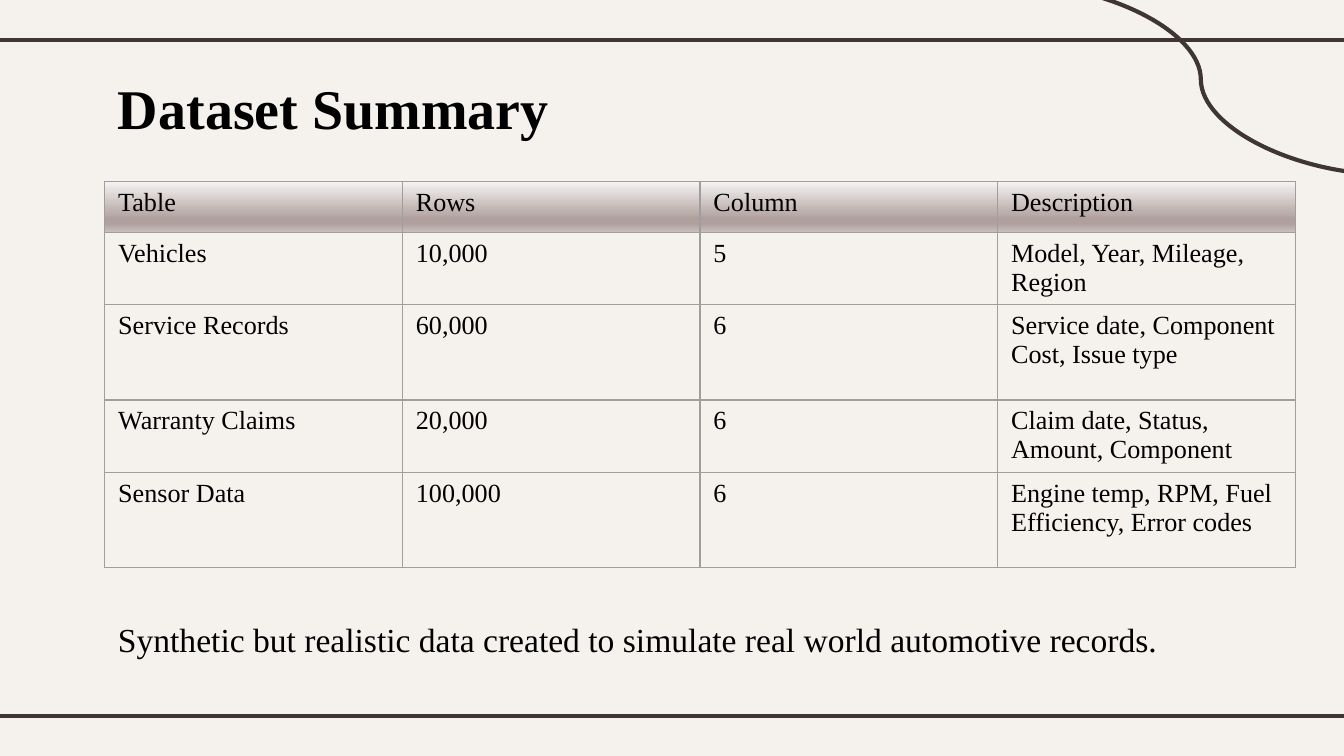
from lxml.etree import SubElement
from pptx import Presentation
from pptx.dml.color import RGBColor
from pptx.enum.shapes import MSO_CONNECTOR as Connector
from pptx.enum.text import MSO_ANCHOR as Anchor, MSO_AUTO_SIZE as AutoSize, PP_ALIGN as Align
from pptx.oxml.ns import qn
from pptx.util import Cm, Pt

BACKGROUND = RGBColor(0xF5, 0xF2, 0xEE)
RULE = RGBColor(0x3F, 0x35, 0x33)
BORDER = RGBColor(0x9E, 0x9E, 0x9E)
TEXT = RGBColor(0x00, 0x00, 0x00)
HEADER_STOPS = [
    (0, RGBColor(0xF6, 0xF4, 0xF4)),
    (74, RGBColor(0xAF, 0xA0, 0x9D)),
    (83, RGBColor(0xAF, 0xA0, 0x9D)),
    (100, RGBColor(0xCA, 0xBF, 0xBD)),
]
FONT = "Times New Roman"

LEFT, CONTENT_WIDTH = Cm(1.98), Cm(22.5)
ROW_HEIGHTS = [0.96, 1.37, 1.8, 1.37, 1.8]
ROWS = [
    ("Table", "Rows", "Column", "Description"),
    ("Vehicles", "10,000", "5", "Model, Year, Mileage, Region"),
    ("Service Records", "60,000", "6", "Service date, Component Cost, Issue type"),
    ("Warranty Claims", "20,000", "6", "Claim date, Status, Amount, Component"),
    ("Sensor Data", "100,000", "6", "Engine temp, RPM, Fuel Efficiency, Error codes"),
]


def write_text(text_frame, text, size, bold=False):
    text_frame.text = text
    paragraph = text_frame.paragraphs[0]
    paragraph.alignment = Align.LEFT
    font = paragraph.runs[0].font
    font.name, font.size, font.bold = FONT, Pt(size), bold
    font.color.rgb = TEXT


def add_rule(slide, kind, start, end):
    """Draw a decorative line between two points given in centimetres."""
    connector = slide.shapes.add_connector(kind, *map(Cm, start + end))
    connector.line.color.rgb = RULE
    connector.line.width = Pt(2.25)
    SubElement(connector._element.spPr, qn("a:effectLst"))


def add_color(parent, color):
    SubElement(parent, qn("a:srgbClr"), val=str(color))


def add_borders(cell):
    properties = cell._tc.get_or_add_tcPr()
    for side in ("lnL", "lnR", "lnT", "lnB"):
        line = SubElement(properties, qn(f"a:{side}"), w=str(Pt(0.75)))
        add_color(SubElement(line, qn("a:solidFill")), BORDER)


def fill_header(cell):
    """Give a header cell its downward gradient with several stops."""
    gradient = SubElement(cell._tc.get_or_add_tcPr(), qn("a:gradFill"))
    stops = SubElement(gradient, qn("a:gsLst"))
    for position, color in HEADER_STOPS:
        add_color(SubElement(stops, qn("a:gs"), pos=str(position * 1000)), color)
    SubElement(gradient, qn("a:lin"), ang="5400000", scaled="0")


def add_title(slide, text):
    title = slide.shapes.title
    title.left, title.top, title.width, title.height = LEFT, Cm(1.14), Cm(15.72), Cm(1.6)
    frame = title.text_frame
    frame.auto_size = AutoSize.NONE
    frame.vertical_anchor = Anchor.TOP
    frame.margin_left = frame.margin_right = frame.margin_top = frame.margin_bottom = Cm(0.25)
    write_text(frame, text, 30, bold=True)


def add_summary_table(slide):
    table = slide.shapes.add_table(
        len(ROWS), len(ROWS[0]), LEFT, Cm(3.43), CONTENT_WIDTH, Cm(sum(ROW_HEIGHTS))
    ).table
    table.first_row = table.horz_banding = False
    for row, height in zip(table.rows, ROW_HEIGHTS):
        row.height = Cm(height)
    for row_index, values in enumerate(ROWS):
        for column_index, value in enumerate(values):
            cell = table.cell(row_index, column_index)
            write_text(cell.text_frame, value, 14)
            add_borders(cell)
            if row_index == 0:
                fill_header(cell)
            else:
                cell.fill.background()


def add_caption(slide, text):
    box = slide.shapes.add_textbox(LEFT, Cm(11.58), CONTENT_WIDTH, Cm(1.02))
    box.text_frame.word_wrap = True
    box.text_frame.auto_size = AutoSize.SHAPE_TO_FIT_TEXT
    write_text(box.text_frame, text, 18)


def main():
    presentation = Presentation()
    presentation.slide_width, presentation.slide_height = Cm(25.4), Cm(14.29)
    slide = presentation.slides.add_slide(presentation.slide_layouts[5])
    slide.background.fill.solid()
    slide.background.fill.fore_color.rgb = BACKGROUND

    for y in (0.76, 13.54):
        add_rule(slide, Connector.STRAIGHT, (-0.2, y), (25.6, y))
    add_rule(slide, Connector.CURVE, (19.13, -0.3), (26.26, 3.3))
    add_title(slide, "Dataset Summary")
    add_summary_table(slide)
    add_caption(
        slide,
        "Synthetic but realistic data created to simulate real world automotive records.",
    )
    presentation.save("out.pptx")


if __name__ == "__main__":
    main()
